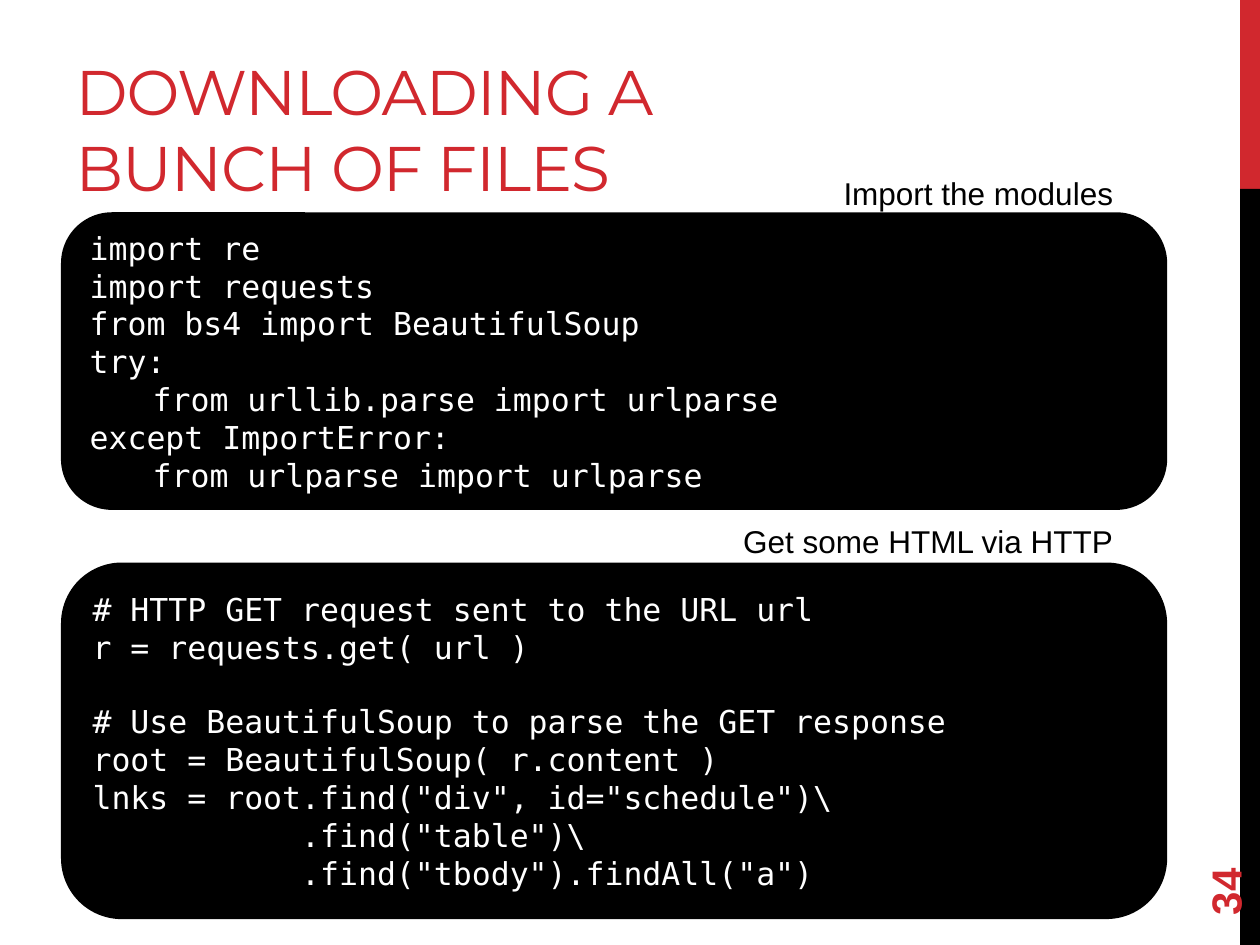
from lxml import etree
from pptx import Presentation
from pptx import util as u
from pptx.dml.color import RGBColor
from pptx.enum import shapes, text
from pptx.oxml.ns import qn

RED = RGBColor(0xD1, 0x28, 0x2E)
BLACK = RGBColor(0, 0, 0)
WHITE = RGBColor(255, 255, 255)

TITLE_FONT = dict(name="Montserrat", size=u.Pt(36), color=RED)
NUMBER_FONT = dict(name="Arial", size=u.Pt(24), bold=True, color=RED)
CAPTION_FONT = dict(name="Arial", size=u.Pt(18), color=BLACK)
CODE_FONT = dict(name="DejaVu Sans Mono", size=u.Pt(18), color=WHITE)

CODE_LINE = u.Pt(21)  # height of one line of code
TAB = u.Cm(1.27)
LEFT, CODE_WIDTH = 1.27, 22.22
CAPTION_RIGHT, CAPTION_HEIGHT = 22.69, 1.02

IMPORTS = """import re
import requests
from bs4 import BeautifulSoup
try:
\tfrom urllib.parse import urlparse
except ImportError:
\tfrom urlparse import urlparse"""

REQUEST = """# HTTP GET request sent to the URL url
r = requests.get( url )

# Use BeautifulSoup to parse the GET response
root = BeautifulSoup( r.content )
lnks = root.find("div", id="schedule")\\
           .find("table")\\
           .find("tbody").findAll("a")"""


class SlideBuilder:
    def __init__(self, slide):
        self.slide = slide

    def format(self, paragraph, style):
        for key, value in style.items():
            if key == "color":
                paragraph.font.color.rgb = value
            else:
                setattr(paragraph.font, key, value)

    def frame(self, shape, **settings):
        settings = dict(word_wrap=True, auto_size=text.MSO_AUTO_SIZE.NONE) | settings
        for key, value in settings.items():
            setattr(shape.text_frame, key, value)
        return shape.text_frame

    def block(self, kind, left, top, width, height, color):
        block = self.slide.shapes.add_shape(kind, *map(u.Cm, (left, top, width, height)))
        block.shadow.inherit = False
        block.fill.solid()
        block.fill.fore_color.rgb = color
        block.line.fill.background()
        return block

    def title(self, words, left, top, width, height):
        title = self.slide.shapes.title
        title.left, title.top, title.width, title.height = map(
            u.Cm, (left, top, width, height))
        paragraph = self.frame(title, vertical_anchor=text.MSO_ANCHOR.BOTTOM).paragraphs[0]
        paragraph.alignment = text.PP_ALIGN.LEFT
        self.format(paragraph, TITLE_FONT)
        run = paragraph.add_run()
        run.text = words
        run._r.get_or_add_rPr().set("spc", "-60")

    def label(self, words, left, top, width, height, style,
              align=text.PP_ALIGN.LEFT, anchor=text.MSO_ANCHOR.TOP, rotation=0):
        label = self.slide.shapes.add_textbox(*map(u.Cm, (left, top, width, height)))
        label.rotation = rotation
        paragraph = self.frame(label, vertical_anchor=anchor).paragraphs[0]
        paragraph.text = words
        paragraph.alignment = align
        self.format(paragraph, style)

    def code(self, source, top, height):
        panel = self.block(shapes.MSO_SHAPE.ROUNDED_RECTANGLE,
                           LEFT, top, CODE_WIDTH, height, BLACK)
        panel.line.color.rgb = BLACK
        panel.line.width = u.Pt(2.25)
        frame = self.frame(panel, vertical_anchor=text.MSO_ANCHOR.MIDDLE)
        # A blank line in the code becomes space before the next section
        sections = [section.split("\n") for section in source.split("\n\n")]
        lines = [(line, n > 0 and i == 0)
                 for n, section in enumerate(sections) for i, line in enumerate(section)]
        for index, (line, opens_section) in enumerate(lines):
            paragraph = frame.add_paragraph() if index else frame.paragraphs[0]
            paragraph.alignment = text.PP_ALIGN.LEFT
            if opens_section:
                paragraph.space_before = CODE_LINE
            if line.startswith("\t"):
                stops = etree.SubElement(paragraph._p.get_or_add_pPr(), qn("a:tabLst"))
                etree.SubElement(stops, qn("a:tab"), pos=str(TAB), algn="l")
            self.format(paragraph, CODE_FONT)
            paragraph.add_run().text = line

    def caption(self, words, top, width):
        self.label(words, CAPTION_RIGHT - width, top, width, CAPTION_HEIGHT,
                   CAPTION_FONT, align=text.PP_ALIGN.RIGHT)


def main():
    deck = Presentation()
    deck.slide_width, deck.slide_height = u.Cm(25.4), u.Cm(19.05)
    builder = SlideBuilder(deck.slides.add_slide(deck.slide_layouts[5]))

    # Side stripe
    builder.block(shapes.MSO_SHAPE.RECTANGLE, 25, 0, 0.4, 3.81, RED)
    builder.block(shapes.MSO_SHAPE.RECTANGLE, 25, 3.81, 0.4, 15.24, BLACK)

    # Title and slide number
    builder.title("DOWNLOADING A BUNCH OF FILES", LEFT, 0.43, 16.08, 3.81)
    builder.label("34", 22.86, 16.36, 3.66, 1.02, NUMBER_FONT,
                  anchor=text.MSO_ANCHOR.MIDDLE, rotation=270)

    # Code panels with their captions
    builder.code(IMPORTS, 4.32, 5.92)
    builder.caption("Import the modules", 3.38, 6.45)
    builder.code(REQUEST, 11.38, 7.11)
    builder.caption("Get some HTML via HTTP", 10.39, 8)

    deck.save("out.pptx")


if __name__ == "__main__":
    main()
